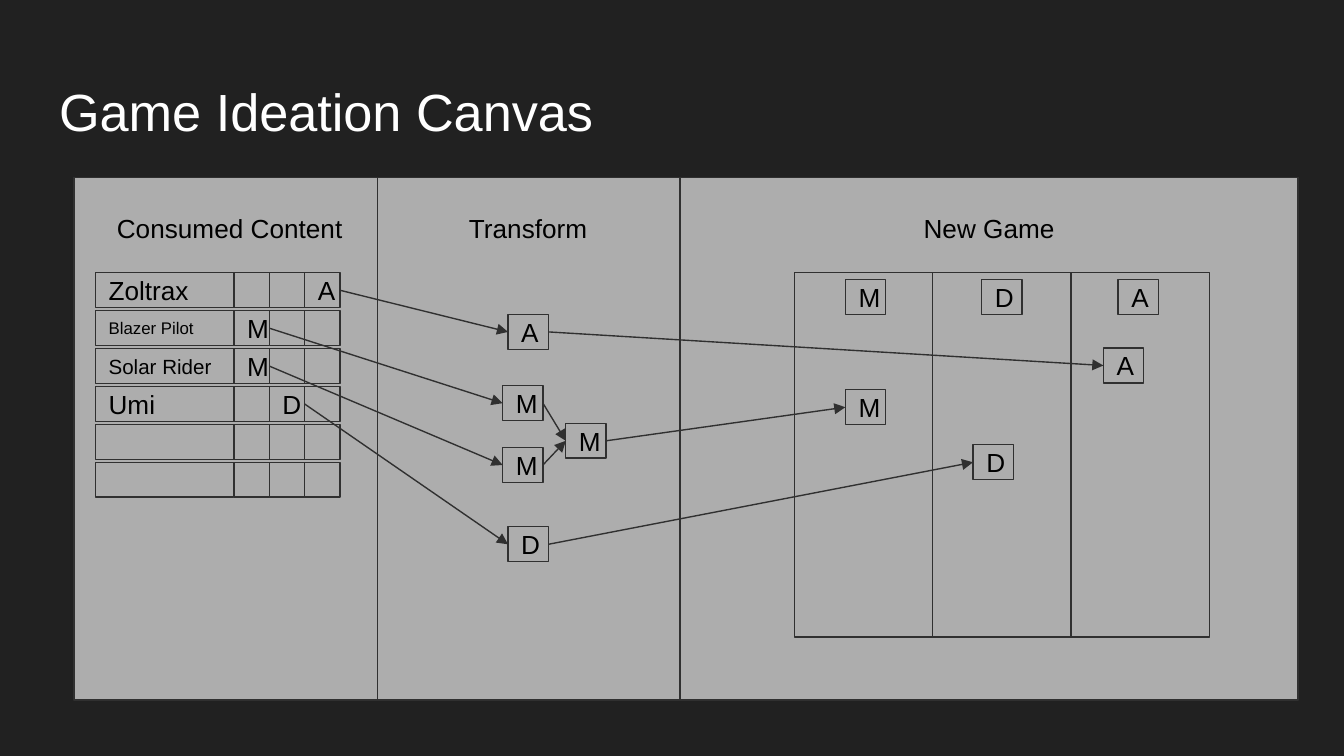
from lxml import etree
from pptx import Presentation
from pptx.dml.color import RGBColor
from pptx.enum.shapes import MSO_CONNECTOR, MSO_SHAPE
from pptx.enum.text import MSO_ANCHOR, MSO_AUTO_SIZE, PP_ALIGN
from pptx.oxml.ns import qn
from pptx.util import Inches, Pt

STRAIGHT = MSO_CONNECTOR.STRAIGHT
RECTANGLE = MSO_SHAPE.RECTANGLE
MIDDLE, TOP = MSO_ANCHOR.MIDDLE, MSO_ANCHOR.TOP
LEFT, CENTER = PP_ALIGN.LEFT, PP_ALIGN.CENTER
NO_AUTOFIT = MSO_AUTO_SIZE.NONE

BACKGROUND = RGBColor(0x21, 0x21, 0x21)
PANEL = RGBColor(0xAD, 0xAD, 0xAD)
STROKE = RGBColor(0x30, 0x30, 0x30)
BLACK = RGBColor(0, 0, 0)
WHITE = RGBColor(0xFF, 0xFF, 0xFF)

FONT = "Arial"
PANEL_TOP, PANEL_HEIGHT = 1.32, 3.89
GRID_LEFT, GRID_TOP = 0.71, 2.03
NAME_WIDTH, CELL_WIDTH = 1.03, 0.79 / 3
BOX_HEIGHT, ROW_PITCH = 0.26, 1.41 / 5
CHIP_WIDTH = 0.3
GAME_LEFT, GAME_COLUMN, GAME_HEIGHT = 5.91, 1.03, 2.71
CHIP_HEADER_LEFT, CHIP_HEADER_PITCH = 6.29, 2.03 / 2
LEFT_SITE, RIGHT_SITE = 1, 3


def write_text(shape, text, size, color, alignment, anchor):
    frame = shape.text_frame
    frame.text = text
    frame.word_wrap = True
    frame.auto_size = NO_AUTOFIT
    frame.vertical_anchor = anchor
    frame.margin_left = frame.margin_right = Inches(0.1)
    frame.margin_top = frame.margin_bottom = Inches(0.1)
    paragraph = frame.paragraphs[0]
    paragraph.alignment = alignment
    paragraph.font.name = FONT
    paragraph.font.size = Pt(size)
    paragraph.font.color.rgb = color


def add_box(shapes, left, top, width, height, text="", size=14):
    box = shapes.add_shape(
        RECTANGLE, Inches(left), Inches(top), Inches(width), Inches(height)
    )
    box.shadow.inherit = False
    box.fill.solid()
    box.fill.fore_color.rgb = PANEL
    box.line.color.rgb = STROKE
    box.line.width = Pt(0.75)
    if text:
        write_text(box, text, size, BLACK, LEFT, MIDDLE)
    return box


presentation = Presentation()
presentation.slide_width = Inches(10)
presentation.slide_height = Inches(10 * 9 / 16)
slide = presentation.slides.add_slide(presentation.slide_layouts[5])
slide.background.fill.solid()
slide.background.fill.fore_color.rgb = BACKGROUND

title = slide.shapes.title
title.left, title.top = Inches(0.34), Inches(0.49)
title.width, title.height = Inches(9.32), Inches(0.63)
write_text(title, "Game Ideation Canvas", 28, WHITE, LEFT, TOP)

panels = [
    (0.55, 2.26, 0.61, "Consumed Content"),
    (2.81, 2.26, 2.83, "Transform"),
    (5.06, 4.6, 6.26, "New Game"),
]
for left, width, heading_left, heading in panels:
    add_box(slide.shapes, left, PANEL_TOP, width, PANEL_HEIGHT)
    heading_box = slide.shapes.add_textbox(
        Inches(heading_left), Inches(1.48), Inches(2.2), Inches(0.47)
    )
    write_text(heading_box, heading, 14, BLACK, CENTER, TOP)

content_rows = [
    ("Zoltrax", 14, ["", "", "A"]),
    ("Blazer Pilot", 9, ["M", "", ""]),
    ("Solar Rider", 11, ["M", "", ""]),
    ("Umi", 14, ["", "D", ""]),
    ("", 14, ["", "", ""]),
    ("", 14, ["", "", ""]),
]
sources = []
for row, (name, size, marks) in enumerate(content_rows):
    top = GRID_TOP + row * ROW_PITCH
    group = slide.shapes.add_group_shape()
    add_box(group.shapes, GRID_LEFT, top, NAME_WIDTH, BOX_HEIGHT, name, size)
    for column, mark in enumerate(marks):
        left = GRID_LEFT + NAME_WIDTH + column * CELL_WIDTH
        cell = add_box(group.shapes, left, top, CELL_WIDTH, BOX_HEIGHT, mark)
        if mark:
            sources.append(cell)

game_group = slide.shapes.add_group_shape()
for column in range(3):
    left = GAME_LEFT + column * GAME_COLUMN
    add_box(game_group.shapes, left, GRID_TOP, GAME_COLUMN, GAME_HEIGHT)
for column, letter in enumerate("MDA"):
    left = CHIP_HEADER_LEFT + column * CHIP_HEADER_PITCH
    add_box(slide.shapes, left, 2.08, CHIP_WIDTH, BOX_HEIGHT, letter)

chips = [
    ("A", 3.78, 2.34),
    ("M", 3.74, 2.87),
    ("M", 3.74, 3.33),
    ("D", 3.78, 3.92),
    ("M", 4.21, 3.15),
    ("A", 8.21, 2.59),
    ("M", 6.29, 2.9),
    ("D", 7.24, 3.31),
]
(
    art, first_mechanic, second_mechanic, design, merged_mechanic,
    game_art, game_mechanic, game_design,
) = [
    add_box(slide.shapes, left, top, CHIP_WIDTH, BOX_HEIGHT, letter)
    for letter, left, top in chips
]

arrows = list(zip(sources, [art, first_mechanic, second_mechanic, design])) + [
    (first_mechanic, merged_mechanic),
    (second_mechanic, merged_mechanic),
    (art, game_art),
    (merged_mechanic, game_mechanic),
    (design, game_design),
]
for start, end in arrows:
    arrow = slide.shapes.add_connector(STRAIGHT, 0, 0, 0, 0)
    arrow.begin_connect(start, RIGHT_SITE)
    arrow.end_connect(end, LEFT_SITE)
    arrow.line.color.rgb = STROKE
    arrow.line.width = Pt(0.75)
    properties = arrow.element.spPr
    etree.SubElement(properties.find(qn("a:ln")), qn("a:tailEnd"), type="triangle")
    etree.SubElement(properties, qn("a:effectLst"))

presentation.save("out.pptx")
